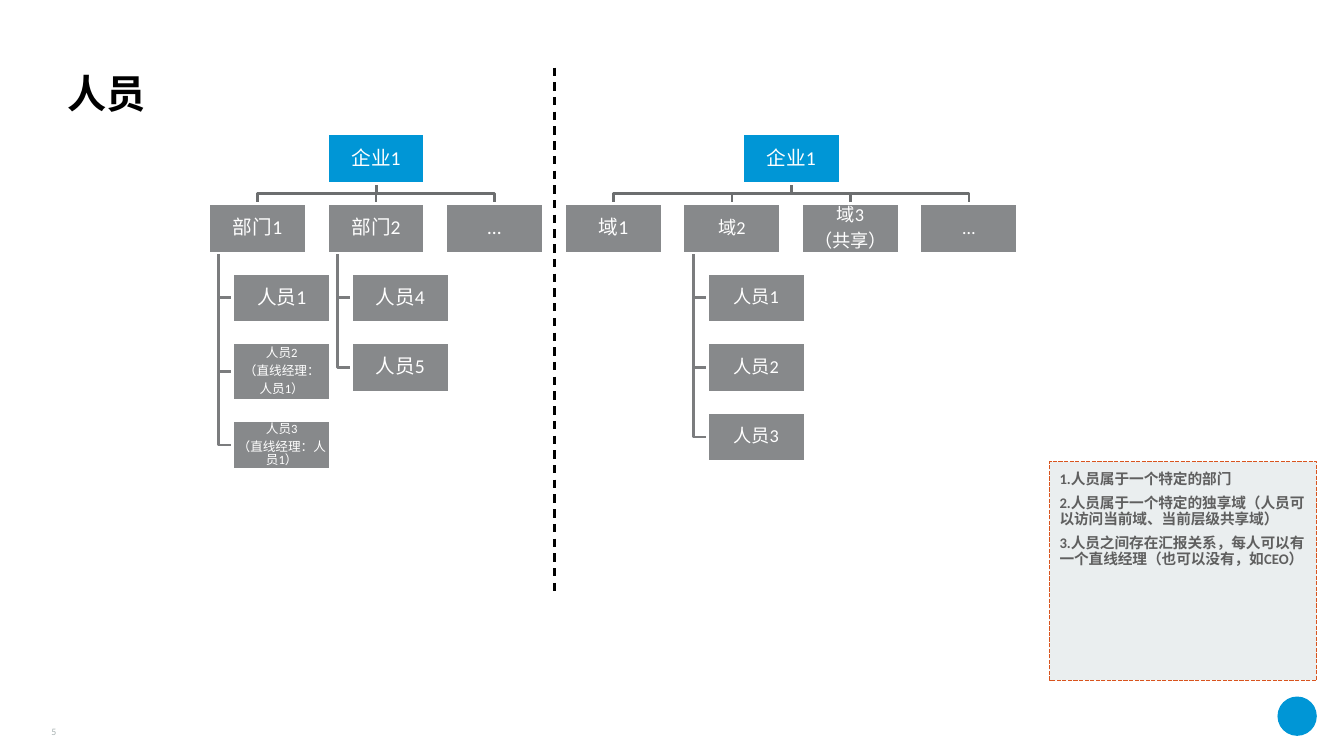
from dataclasses import dataclass
from pptx import Presentation
from pptx import util as u
from pptx.dml.color import RGBColor
from pptx.enum import dml, shapes, text
from pptx.oxml import parse_xml
from pptx.oxml.ns import nsdecls


@dataclass(frozen=True)
class Theme:
    font: str = "Calibri"
    blue: str = "0096D6"
    grey: str = "87898B"
    white: str = "FFFFFF"
    black: str = "000000"
    branch_line: str = "6C6E6F"
    staff_line: str = "7B7C7E"
    note_fill: str = "EAEEEF"
    note_line: str = "D9541E"
    note_text: str = "5F5F5F"
    number: str = "A8B2B2"
    title_size: float = 28
    box_size: float = 14
    domain_size: float = 13
    small_size: float = 9
    note_size: float = 10.5
    number_size: float = 7


THEME = Theme()
BOX_WIDTH, BOX_HEIGHT, GAP = 0.97, 0.49, 0.2
BRANCH_PITCH = 1.175
STAFF_INDENT, TRUNK_INDENT = 0.24, 0.1


@dataclass(frozen=True)
class Node:
    lines: str
    size: float = THEME.box_size
    height: float = BOX_HEIGHT
    staff: tuple = ()


def write(shape, content, size, color, bold=False, align=text.PP_ALIGN.LEFT,
          anchor=text.MSO_ANCHOR.TOP, margin=0, wrap=True, line_spacing=0.9,
          before=0, after=0):
    """Fill a shape with one paragraph for each line of content."""
    frame = shape.text_frame
    frame.text = content
    frame.auto_size = text.MSO_AUTO_SIZE.NONE
    frame.word_wrap = wrap
    frame.vertical_anchor = anchor
    frame.margin_left = frame.margin_right = u.Inches(margin)
    frame.margin_top = frame.margin_bottom = u.Inches(margin)
    for paragraph in frame.paragraphs:
        paragraph.alignment = align
        paragraph.line_spacing = line_spacing
        paragraph.space_before = u.Pt(before)
        paragraph.space_after = u.Pt(after)
        for run in paragraph.runs:
            run.font.name = THEME.font
            run.font.size = u.Pt(size)
            run.font.bold = bold
            run.font.color.rgb = RGBColor.from_string(color)


def style_line(line, color, width, dash=None):
    line.color.rgb = RGBColor.from_string(color)
    line.width = u.Pt(width)
    if dash:
        line.dash_style = dash


def add_block(slide, box, fill, kind=shapes.MSO_SHAPE.RECTANGLE):
    shape = slide.shapes.add_shape(kind, *map(u.Inches, box))
    shape.shadow.inherit = False
    shape.fill.solid()
    shape.fill.fore_color.rgb = RGBColor.from_string(fill)
    shape.line.fill.background()
    return shape


def add_straight_line(slide, start, end, color, width, dash=None):
    line = slide.shapes.add_connector(
        shapes.MSO_CONNECTOR.STRAIGHT, *map(u.Inches, (*start, *end)))
    style_line(line.line, color, width, dash)
    line._element.spPr.append(parse_xml(f"<a:effectLst {nsdecls('a')}/>"))


def add_elbow(slide, points, color):
    start, *rest = [tuple(map(u.Inches, point)) for point in points]
    builder = slide.shapes.build_freeform(*start)
    builder.add_line_segments(rest, close=False)
    elbow = builder.convert_to_shape()
    elbow.shadow.inherit = False
    elbow.fill.background()
    style_line(elbow.line, color, 2)


def add_node(slide, left, top, node, fill=THEME.grey):
    shape = add_block(slide, (left, top, BOX_WIDTH, node.height), fill)
    style_line(shape.line, THEME.white, 2)
    write(shape, node.lines, node.size, THEME.white, align=text.PP_ALIGN.CENTER,
          anchor=text.MSO_ANCHOR.MIDDLE, margin=0.01, after=0.35 * node.size)


def add_staff(slide, left, top, staff):
    """Hang a column of people under the branch box at left, top."""
    trunk, base = left + TRUNK_INDENT, top + BOX_HEIGHT
    staff_left, staff_top = left + STAFF_INDENT, base + GAP
    for person in staff:
        middle = staff_top + person.height / 2
        add_elbow(slide, [(trunk, base), (trunk, middle), (staff_left, middle)],
                  THEME.staff_line)
        add_node(slide, staff_left, staff_top, person)
        staff_top += person.height + GAP


def add_tree(slide, left, top, root, branches):
    """Draw a root centred over a row of branches, each with its people."""
    root_left = left + BRANCH_PITCH * (len(branches) - 1) / 2
    root_center = root_left + BOX_WIDTH / 2
    root_base = top + BOX_HEIGHT
    branch_top = root_base + GAP
    bar = root_base + GAP / 2
    for index, branch in enumerate(branches):
        branch_left = left + index * BRANCH_PITCH
        center = branch_left + BOX_WIDTH / 2
        if abs(center - root_center) < 0.01:
            add_straight_line(slide, (root_center, root_base),
                              (root_center, branch_top), THEME.branch_line, 2)
        else:
            add_elbow(slide, [(root_center, root_base), (root_center, bar),
                              (center, bar), (center, branch_top)],
                      THEME.branch_line)
        add_staff(slide, branch_left, branch_top, branch.staff)
        add_node(slide, branch_left, branch_top, branch)
    add_node(slide, root_left, top, root, THEME.blue)


def add_title(slide, box, content):
    title = slide.shapes.title
    title.left, title.top, title.width, title.height = map(u.Inches, box)
    write(title, content, THEME.title_size, THEME.black, bold=True,
          anchor=text.MSO_ANCHOR.BOTTOM)


def add_note(slide, box, content):
    note = add_block(slide, box, THEME.note_fill)
    style_line(note.line, THEME.note_line, 1, dml.MSO_LINE.SQUARE_DOT)
    write(note, content, THEME.note_size, THEME.note_text, bold=True,
          margin=0.1, before=6)


def add_page_number(slide, box, content):
    number = slide.shapes.add_textbox(*map(u.Inches, box))
    write(number, content, THEME.number_size, THEME.number, wrap=False,
          align=text.PP_ALIGN.RIGHT, anchor=text.MSO_ANCHOR.BOTTOM,
          line_spacing=1)


def main():
    presentation = Presentation()
    presentation.slide_width = u.Inches(13.33)
    presentation.slide_height = u.Inches(7.5)
    slide = presentation.slides.add_slide(presentation.slide_layouts[5])

    departments = (
        Node("部门1", staff=(
            Node("人员1"),
            Node("人员2\n（直线经理：\n人员1）", THEME.small_size, 0.57),
            Node("人员3\n（直线经理：人员1）", THEME.small_size))),
        Node("部门2", staff=(Node("人员4"), Node("人员5"))),
        Node("…"),
    )
    domain_staff = tuple(Node(f"人员{number}", THEME.domain_size)
                         for number in range(1, 4))
    domains = (
        Node("域1"),
        Node("域2", THEME.domain_size, staff=domain_staff),
        Node("域3\n（共享）", THEME.domain_size),
        Node("…", THEME.domain_size),
    )

    add_block(slide, (12.67, 6.91, 0.39, 0.39), THEME.blue, shapes.MSO_SHAPE.OVAL)
    add_title(slide, (0.67, 0.33, 12, 0.83), "人员")
    add_tree(slide, 2.07, 1.33, Node("企业1"), departments)
    add_tree(slide, 5.6, 1.33, Node("企业1"), domains)
    add_note(slide, (10.41, 4.58, 2.65, 2.17),
             "1.人员属于一个特定的部门\n"
             "2.人员属于一个特定的独享域（人员可以访问当前域、当前层级共享域）\n"
             "3.人员之间存在汇报关系，每人可以有一个直线经理（也可以没有，如CEO）")
    add_page_number(slide, (0.23, 7.08, 0.33, 0.24), "5")
    add_straight_line(slide, (5.5, 0.67), (5.5, 5.92), THEME.black, 1.5,
                      dml.MSO_LINE.DASH)
    presentation.save("out.pptx")


if __name__ == "__main__":
    main()
